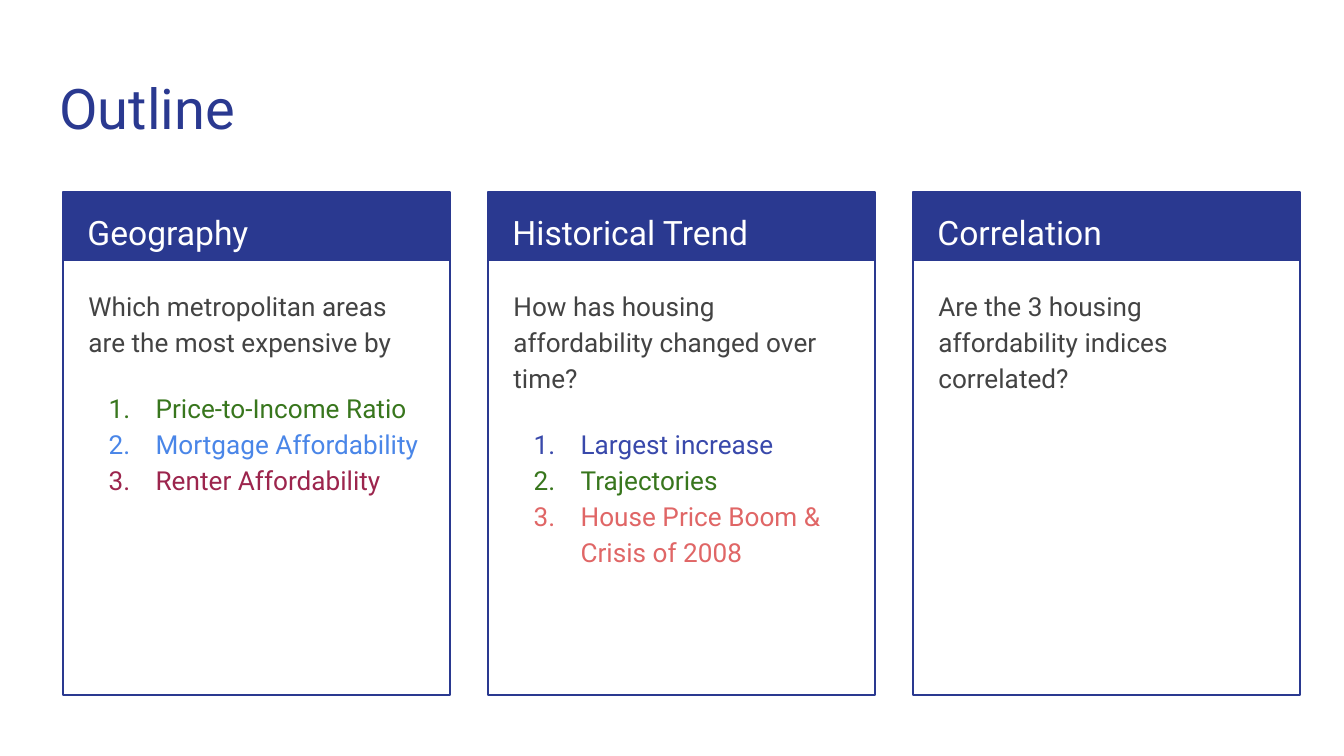
from copy import deepcopy
from dataclasses import dataclass

from lxml import etree
from pptx import Presentation
from pptx.dml.color import RGBColor
from pptx.enum.shapes import MSO_SHAPE
from pptx.enum.text import MSO_ANCHOR, MSO_AUTO_SIZE, PP_ALIGN
from pptx.oxml.ns import qn
from pptx.shapes.autoshape import Shape
from pptx.slide import Slide, SlideLayout
from pptx.text.text import TextFrame, _Paragraph
from pptx.util import Inches, Pt

RECTANGLE = MSO_SHAPE.RECTANGLE
TOP = MSO_ANCHOR.TOP
NO_AUTOFIT = MSO_AUTO_SIZE.NONE
LEFT = PP_ALIGN.LEFT

NAVY = RGBColor(0x2A, 0x39, 0x90)
WHITE = RGBColor(0xFF, 0xFF, 0xFF)
GRAY = RGBColor(0x43, 0x43, 0x43)
GREEN = RGBColor(0x38, 0x76, 0x1D)
BLUE = RGBColor(0x4A, 0x86, 0xE8)
PLUM = RGBColor(0x9C, 0x25, 0x4D)
INDIGO = RGBColor(0x39, 0x49, 0xAB)
CORAL = RGBColor(0xE0, 0x66, 0x66)

FONT = "Roboto"
PX = Inches(10) / 1344
COMPARISON_LAYOUT = 4
CARD_LEFT, CARD_TOP, CARD_PITCH = 63, 192, 425
CARD_WIDTH, CARD_HEIGHT, BANNER_HEIGHT = 387, 503, 69
LINE_SPACING = 1.15


@dataclass(frozen=True)
class Item:
    text: str
    color: RGBColor


@dataclass(frozen=True)
class Topic:
    heading: str
    question: str
    heading_idx: int
    body_idx: int
    items: tuple[Item, ...] = ()


TOPICS = (
    Topic("Geography", "Which metropolitan areas are the most expensive by", 1, 2, (
        Item("Price-to-Income Ratio", GREEN),
        Item("Mortgage Affordability", BLUE),
        Item("Renter Affordability", PLUM),
    )),
    Topic("Historical Trend", "How has housing affordability changed over time?", 3, 4, (
        Item("Largest increase", INDIGO),
        Item("Trajectories", GREEN),
        Item("House Price Boom & Crisis of 2008", CORAL),
    )),
    Topic("Correlation", "Are the 3 housing affordability indices correlated?", 13, 14),
)


def px(length: int) -> int:
    return round(length * PX)


def add_third_column(layout: SlideLayout) -> None:
    columns = {p.placeholder_format.idx: p for p in layout.placeholders}
    for source_idx, new_idx in ((3, 13), (4, 14)):
        clone = deepcopy(columns[source_idx].element)
        clone.ph.idx = new_idx
        clone.nvSpPr.cNvPr.id = 100 + new_idx
        layout.shapes.element.append(clone)


def place(holder: Shape, left: int, top: int, width: int, height: int) -> TextFrame:
    holder.left, holder.top = px(left), px(top)
    holder.width, holder.height = px(width), px(height)
    frame = holder.text_frame
    frame.word_wrap = True
    frame.auto_size = NO_AUTOFIT
    frame.vertical_anchor = TOP
    frame.margin_left = frame.margin_right = Inches(0.1)
    frame.margin_top = frame.margin_bottom = Inches(0.1)
    return frame


def write(paragraph: _Paragraph, text: str, size: int, color: RGBColor,
          line_spacing: float = LINE_SPACING, space_before: int = 0) -> None:
    paragraph.alignment = LEFT
    paragraph.line_spacing = line_spacing
    paragraph.space_before = Pt(space_before)
    paragraph.space_after = Pt(0)
    run = paragraph.add_run()
    run.text = text
    run.font.name = FONT
    run.font.size = Pt(size)
    run.font.bold = False
    run.font.color.rgb = color


def remove_bullet(paragraph: _Paragraph) -> None:
    properties = paragraph._p.get_or_add_pPr()
    properties.set("marL", "0")
    properties.set("indent", "0")
    etree.SubElement(properties, qn("a:buNone"))


def number(paragraph: _Paragraph, color: RGBColor) -> None:
    properties = paragraph._p.get_or_add_pPr()
    properties.set("marL", str(Inches(0.5)))
    properties.set("indent", str(-Inches(0.35)))
    bullet_color = etree.SubElement(properties, qn("a:buClr"))
    etree.SubElement(bullet_color, qn("a:srgbClr"), val=str(color))
    etree.SubElement(properties, qn("a:buFont"), typeface=FONT)
    etree.SubElement(properties, qn("a:buAutoNum"), type="arabicPeriod")


def draw_card(slide: Slide, left: int) -> None:
    card = slide.shapes.add_group_shape()
    banner, border = (
        card.shapes.add_shape(RECTANGLE, px(left), px(CARD_TOP), px(CARD_WIDTH), px(height))
        for height in (BANNER_HEIGHT, CARD_HEIGHT)
    )
    banner.shadow.inherit = border.shadow.inherit = False
    banner.fill.solid()
    banner.fill.fore_color.rgb = NAVY
    banner.line.fill.background()
    border.fill.background()
    border.line.color.rgb = NAVY
    border.line.width = Pt(0.75)


def draw_topic(slide: Slide, topic: Topic, left: int) -> None:
    draw_card(slide, left)
    holders = {p.placeholder_format.idx: p for p in slide.placeholders}
    heading, body = holders[topic.heading_idx], holders[topic.body_idx]
    for holder in (heading, body):
        slide.shapes.element.append(holder.element)

    heading_line = place(heading, left + 11, CARD_TOP, 367, 67).paragraphs[0]
    write(heading_line, topic.heading, 18, WHITE)
    remove_bullet(heading_line)

    body_frame = place(body, left + 12, CARD_TOP + 80, 364, 411)
    question = body_frame.paragraphs[0]
    write(question, topic.question, 14, GRAY)
    remove_bullet(question)
    for position, item in enumerate(topic.items):
        entry = body_frame.add_paragraph()
        write(entry, item.text, 14, item.color, space_before=0 if position else 16)
        number(entry, item.color)


def main() -> None:
    """Build the outline slide with its three topic cards."""
    deck = Presentation()
    deck.slide_width, deck.slide_height = px(1344), px(756)
    layout = deck.slide_layouts[COMPARISON_LAYOUT]
    add_third_column(layout)
    slide = deck.slides.add_slide(layout)

    title = place(slide.shapes.title, 46, 60, 1253, 89)
    write(title.paragraphs[0], "Outline", 30, NAVY, line_spacing=1.0)
    for column, topic in enumerate(TOPICS):
        draw_topic(slide, topic, CARD_LEFT + column * CARD_PITCH)
    deck.save("out.pptx")


if __name__ == "__main__":
    main()
